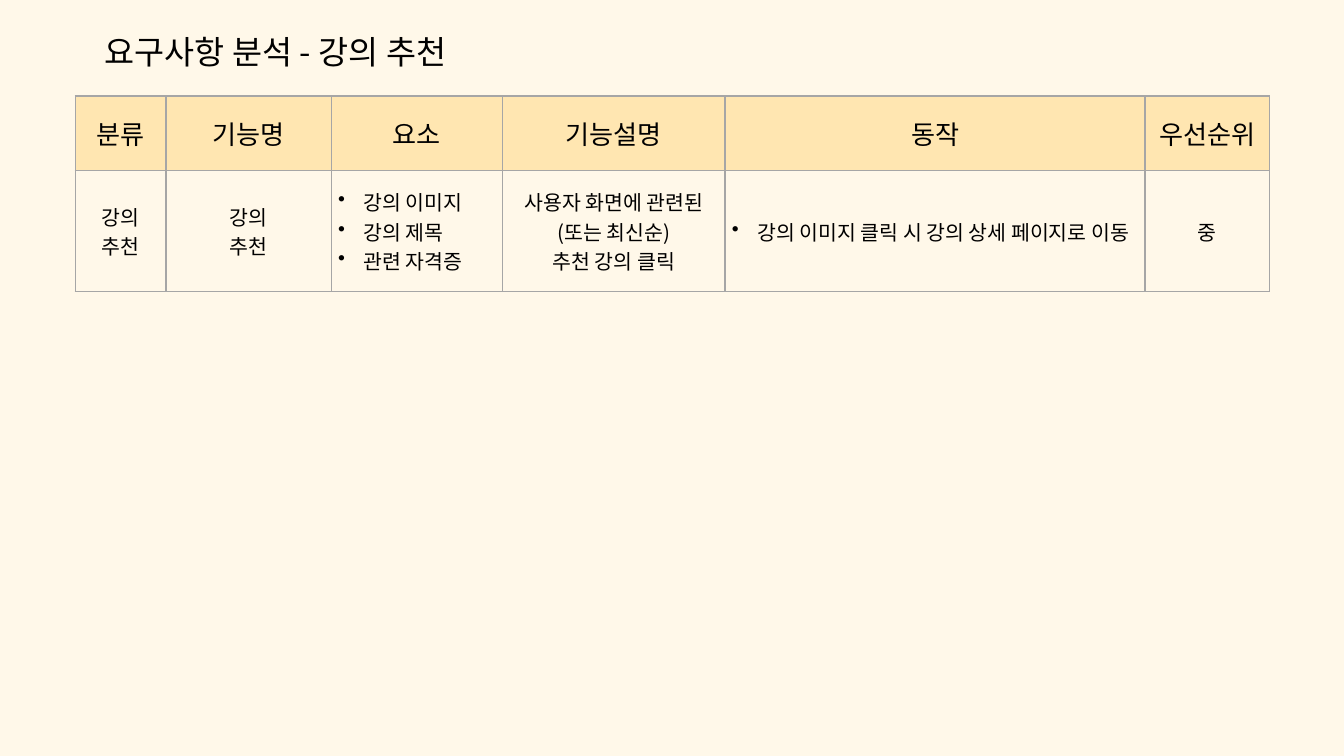
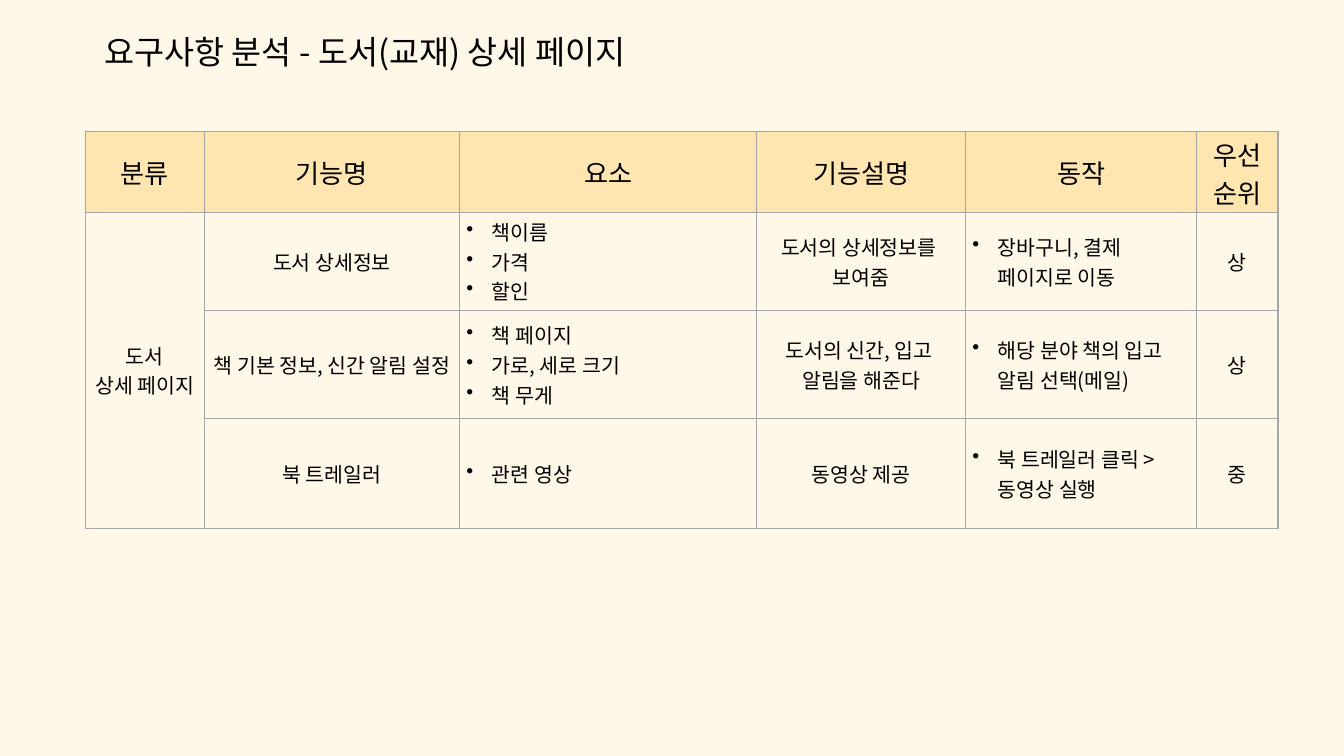
from dataclasses import dataclass

from lxml.etree import SubElement
from pptx import Presentation
from pptx.dml.color import RGBColor
from pptx.enum.text import MSO_ANCHOR as Anchor, MSO_AUTO_SIZE as AutoSize, PP_ALIGN as Align
from pptx.oxml.ns import qn
from pptx.util import Inches, Pt

WIDTH, HEIGHT = Inches(20), Inches(11.25)
HEADERS = ("분류", "기능명", "요소", "기능설명", "동작", "우선순위")
BULLETED_COLUMNS = (HEADERS.index("요소"), HEADERS.index("동작"))
TITLE_TOP, TITLE_HEIGHT = 3.38, 5.78
BULLET_INDENT = 1.9


@dataclass(frozen=True)
class Theme:
    """Colours, font and type sizes of the deck."""
    font: str = "Noto Sans CJK KR"
    paper: str = "FFF8E9"
    header: str = "FFE6B1"
    border: str = "A6A6A6"
    ink: str = "000000"
    title_size: int = 35
    title_leading: int = 49
    header_size: int = 28
    body_size: int = 22
    border_width: float = 1.5


@dataclass(frozen=True)
class Requirement:
    """One table row; each field holds its paragraphs."""
    category: tuple[str, ...]
    name: tuple[str, ...]
    elements: tuple[str, ...]
    description: tuple[str, ...]
    action: tuple[str, ...]
    priority: tuple[str, ...]

    def cells(self) -> tuple[tuple[str, ...], ...]:
        """Return the fields in column order."""
        return (self.category, self.name, self.elements,
                self.description, self.action, self.priority)


@dataclass(frozen=True)
class RequirementPage:
    """A title and a requirement table, measured in percent of the slide."""
    title: str
    title_left: float
    title_width: float
    left: float
    top: float
    columns: tuple[float, ...]
    rows: tuple[float, ...]
    requirements: tuple[Requirement, ...]


THEME = Theme()

PAGES = (
    RequirementPage(
        "요구사항 분석 - 강의 추천", 6.85, 27.3, 5.6, 12.71,
        (6.75, 12.3, 12.75, 16.55, 31.25, 9.25), (9.87, 16),
        (
            Requirement(
                ("강의", "추천"), ("강의", "추천"),
                ("강의 이미지", "강의 제목", "관련 자격증"),
                ("사용자 화면에 관련된", "(또는 최신순)", "추천 강의 클릭"),
                ("강의 이미지 클릭 시 강의 상세 페이지로 이동",), ("중",)),
        )),
    RequirementPage(
        "요구사항 분석 - 도서(교재) 상세 페이지", -16.7, 87.7, 6.35, 17.42,
        (8.85, 19, 22.1, 15.55, 17.2, 6.05), (10.67, 12.98, 14.31, 14.49),
        (
            Requirement(
                ("도서", "상세 페이지"), ("도서 상세정보",),
                ("책이름", "가격", "할인"),
                ("도서의 상세정보를 \n보여줌",),
                ("장바구니, 결제 \n페이지로 이동",), ("상",)),
            Requirement(
                (), ("책 기본 정보, 신간 알림 설정",),
                ("책 페이지", "가로, 세로 크기", "책 무게"),
                ("도서의 신간, 입고 \n알림을 해준다",),
                ("해당 분야 책의 입고 \n알림 선택(메일)",), ("상",)),
            Requirement(
                (), ("북 트레일러",), ("관련 영상",), ("동영상 제공",),
                ("북 트레일러 클릭 >\n동영상 실행",), ("중",)),
        )),
)


def across(share: float) -> int:
    """Convert a percentage of the slide's width to a length."""
    return round(WIDTH * share / 100)


def down(share: float) -> int:
    """Convert a percentage of the slide's height to a length."""
    return round(HEIGHT * share / 100)


def style_paragraph(para, size: int, bulleted: bool = False) -> None:
    """Set alignment or bullet, then the font of a paragraph."""
    if bulleted:
        props = para._p.get_or_add_pPr()
        props.set("marL", str(across(BULLET_INDENT)))
        props.set("indent", str(-across(BULLET_INDENT)))
        SubElement(props, qn("a:buChar"), char="•")
    else:
        para.alignment = Align.CENTER
    font = para.font
    font.size = Pt(size)
    font.name = THEME.font
    font.color.rgb = RGBColor.from_string(THEME.ink)
    SubElement(font._element, qn("a:ea"), typeface=THEME.font)


def draw_title(slide, page: RequirementPage) -> None:
    """Draw the page title."""
    box = slide.shapes.add_textbox(across(page.title_left), down(TITLE_TOP),
                                   across(page.title_width), down(TITLE_HEIGHT))
    frame = box.text_frame
    frame.word_wrap = True
    frame.auto_size = AutoSize.SHAPE_TO_FIT_TEXT
    frame.margin_left = frame.margin_right = frame.margin_top = frame.margin_bottom = 0
    para = frame.paragraphs[0]
    para.text = page.title
    para.line_spacing = Pt(THEME.title_leading)
    style_paragraph(para, THEME.title_size)


def draw_borders(cell) -> None:
    """Line all four sides of a cell."""
    props = cell._tc.get_or_add_tcPr()
    for side in ("lnL", "lnR", "lnT", "lnB"):
        line = SubElement(props, qn(f"a:{side}"), w=str(Pt(THEME.border_width)))
        fill = SubElement(line, qn("a:solidFill"))
        SubElement(fill, qn("a:srgbClr"), val=THEME.border)


def fill_cell(cell, lines: tuple[str, ...], is_header: bool, bulleted: bool) -> None:
    """Write and style one table cell."""
    draw_borders(cell)
    cell.vertical_anchor = Anchor.MIDDLE
    if is_header:
        cell.fill.solid()
        cell.fill.fore_color.rgb = RGBColor.from_string(THEME.header)
    else:
        cell.fill.background()
    size = THEME.header_size if is_header else THEME.body_size
    frame = cell.text_frame
    for index, line in enumerate(lines):
        para = frame.add_paragraph() if index else frame.paragraphs[0]
        para.text = line
        style_paragraph(para, size, bulleted)


def draw_table(slide, page: RequirementPage) -> None:
    """Draw the header row and the requirements below it."""
    table = slide.shapes.add_table(
        len(page.rows), len(page.columns), across(page.left), down(page.top),
        across(sum(page.columns)), down(sum(page.rows))).table
    table.first_row = table.horz_banding = False
    for column, share in zip(table.columns, page.columns):
        column.width = across(share)
    for row, share in zip(table.rows, page.rows):
        row.height = down(share)
    header_cells = tuple((name,) for name in HEADERS)
    contents = (header_cells, *(item.cells() for item in page.requirements))
    for row_index, row_cells in enumerate(contents):
        is_header = row_index == 0
        for column_index, lines in enumerate(row_cells):
            bulleted = not is_header and column_index in BULLETED_COLUMNS
            fill_cell(table.cell(row_index, column_index), lines, is_header, bulleted)
    if len(page.requirements) > 1:
        table.cell(1, 0).merge(table.cell(len(page.requirements), 0))


def main() -> None:
    """Build and save the deck."""
    deck = Presentation()
    deck.slide_width, deck.slide_height = WIDTH, HEIGHT
    for page in PAGES:
        slide = deck.slides.add_slide(deck.slide_layouts[6])
        slide.background.fill.solid()
        slide.background.fill.fore_color.rgb = RGBColor.from_string(THEME.paper)
        draw_title(slide, page)
        draw_table(slide, page)
    deck.save("out.pptx")


if __name__ == "__main__":
    main()
